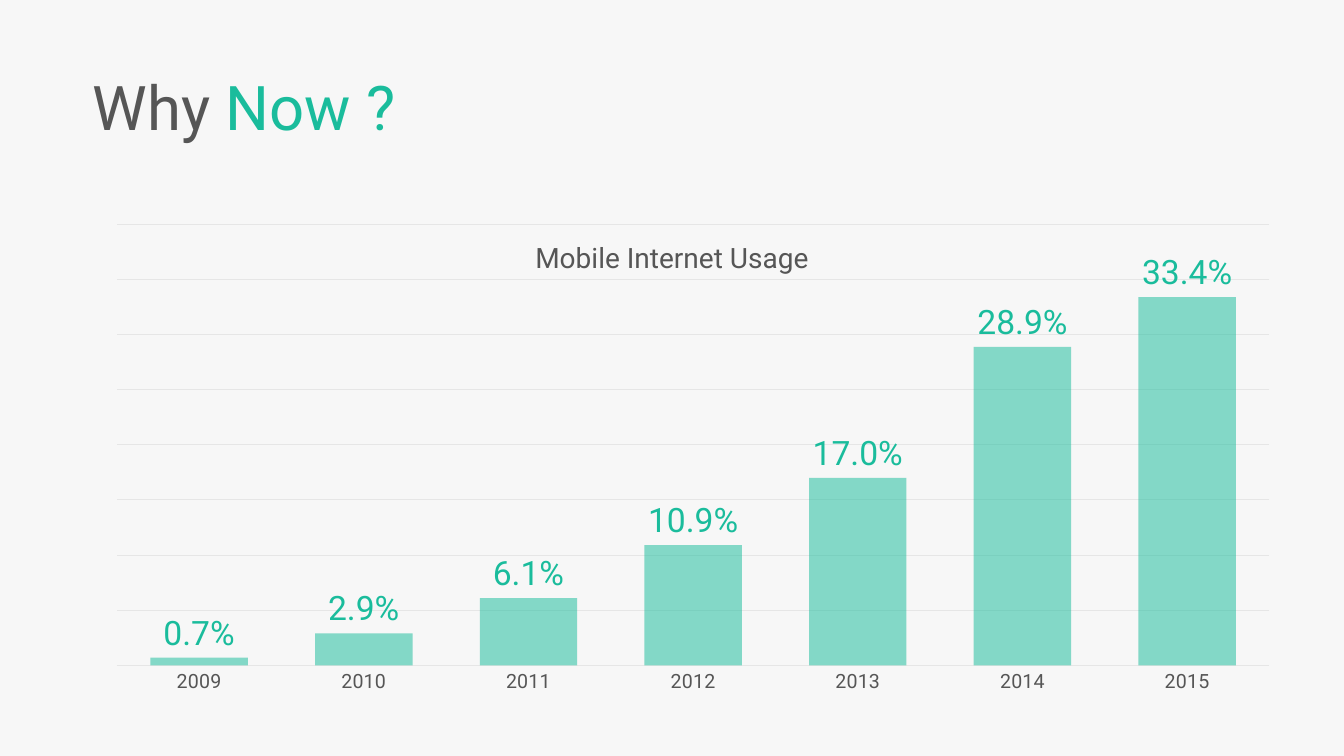
from lxml.etree import SubElement
from pptx import Presentation
from pptx.chart.data import CategoryChartData
from pptx.dml.color import RGBColor
from pptx.enum.chart import XL_CHART_TYPE, XL_LABEL_POSITION, XL_TICK_MARK
from pptx.enum.text import MSO_ANCHOR, MSO_AUTO_SIZE, PP_ALIGN
from pptx.oxml import parse_xml
from pptx.oxml.ns import nsdecls, qn
from pptx.util import Inches, Pt

# Content
TITLE = [("Why ", "text"), ("Now ?", "accent")]
CHART_HEADING = [("Mobile Internet Usage", "text")]
MOBILE_USAGE = {
    "2009": 0.007,
    "2010": 0.029,
    "2011": 0.061,
    "2012": 0.109,
    "2013": 0.17,
    "2014": 0.289,
    "2015": 0.334,
}
COLORS = {"background": "F7F7F7", "text": "565656", "accent": "1ABC9C", "grid": "E6E6E6"}
FONT = "Roboto"
BAR_OPACITY = 52

# Geometry in inches; the plot area is given as shares of the chart
SLIDE_WIDTH, SLIDE_HEIGHT = 13.33, 7.5
MARGIN = 0.92
TITLE_BOX = (MARGIN, 0.72, 4.9, 0.77)
CHART_BOX = (MARGIN, 2.13, 11.91, 4.86)
HEADING_WIDTH = 4.78
HEADING_BOX = ((SLIDE_WIDTH - HEADING_WIDTH) / 2, 2.34, HEADING_WIDTH, 0.44)
PLOT_SHARES = {"x": 0.02, "y": 0.02, "w": 0.96, "h": 0.9}


def color(name):
    return RGBColor.from_string(COLORS[name])


def style_font(font, size, color_name):
    font.name, font.size = FONT, Pt(size)
    font.color.rgb = color(color_name)


def write_text(shape, pieces, size, align=PP_ALIGN.LEFT, left_inset=0.1,
               line_spacing=None, space_before=None):
    frame = shape.text_frame
    frame.word_wrap = True
    frame.auto_size = MSO_AUTO_SIZE.SHAPE_TO_FIT_TEXT
    frame.vertical_anchor = MSO_ANCHOR.TOP
    frame.margin_left = Inches(left_inset)
    paragraph = frame.paragraphs[0]
    paragraph.alignment = align
    paragraph.line_spacing = line_spacing
    paragraph.space_before = space_before
    for text, color_name in pieces:
        run = paragraph.add_run()
        run.text = text
        style_font(run.font, size, color_name)


def set_plot_area(chart):
    plot_area = chart.plots[0]._element.getparent()
    for old_layout in plot_area.findall(qn("c:layout")):
        plot_area.remove(old_layout)
    layout = parse_xml(f"<c:layout {nsdecls('c')}><c:manualLayout/></c:layout>")
    settings = {"layoutTarget": "inner", "xMode": "edge", "yMode": "edge", **PLOT_SHARES}
    for tag, value in settings.items():
        SubElement(layout[0], qn(f"c:{tag}")).set("val", str(value))
    plot_area.insert(0, layout)


def add_usage_chart(slide):
    data = CategoryChartData(number_format="0.0%")
    data.categories = list(MOBILE_USAGE)
    data.add_series("Series 1", list(MOBILE_USAGE.values()))
    chart = slide.shapes.add_chart(
        XL_CHART_TYPE.COLUMN_CLUSTERED, *map(Inches, CHART_BOX), data).chart
    chart.has_legend = chart.has_title = False
    style_font(chart.font, 10, "text")
    set_plot_area(chart)

    # Axes
    years, shares = chart.category_axis, chart.value_axis
    years.major_tick_mark = years.minor_tick_mark = XL_TICK_MARK.NONE
    style_font(years.tick_labels.font, 14, "text")
    shares.minimum_scale, shares.maximum_scale, shares.major_unit = 0, 0.4, 0.05
    shares.has_major_gridlines = True
    shares.visible = False
    for line in (years.format.line, shares.major_gridlines.format.line):
        line.color.rgb = color("grid")
        line.width = Pt(0.75)

    # Bars and their labels
    plot = chart.plots[0]
    plot.vary_by_categories = False
    plot.gap_width, plot.overlap = 69, 7
    series = plot.series[0]
    series.invert_if_negative = False
    fill = series.format.fill
    fill.solid()
    fill.fore_color.rgb = color("accent")
    fill_color = series._element.find(".//" + qn("a:srgbClr"))
    SubElement(fill_color, qn("a:alpha")).set("val", str(BAR_OPACITY * 1000))
    labels = series.data_labels
    labels.show_value = True
    labels.position = XL_LABEL_POSITION.OUTSIDE_END
    labels.number_format, labels.number_format_is_linked = "0.0%", False
    style_font(labels.font, 24, "accent")


def main():
    presentation = Presentation()
    presentation.slide_width = Inches(SLIDE_WIDTH)
    presentation.slide_height = Inches(SLIDE_HEIGHT)
    slide = presentation.slides.add_slide(presentation.slide_layouts[5])
    slide.background.fill.solid()
    slide.background.fill.fore_color.rgb = color("background")

    # Title
    title = slide.shapes.title
    title.left, title.top, title.width, title.height = map(Inches, TITLE_BOX)
    write_text(title, TITLE, 44, left_inset=0, line_spacing=0.9, space_before=Pt(10))

    # Chart and its heading
    add_usage_chart(slide)
    heading = slide.shapes.add_textbox(*map(Inches, HEADING_BOX))
    write_text(heading, CHART_HEADING, 20, align=PP_ALIGN.CENTER)

    presentation.save("out.pptx")


if __name__ == "__main__":
    main()
